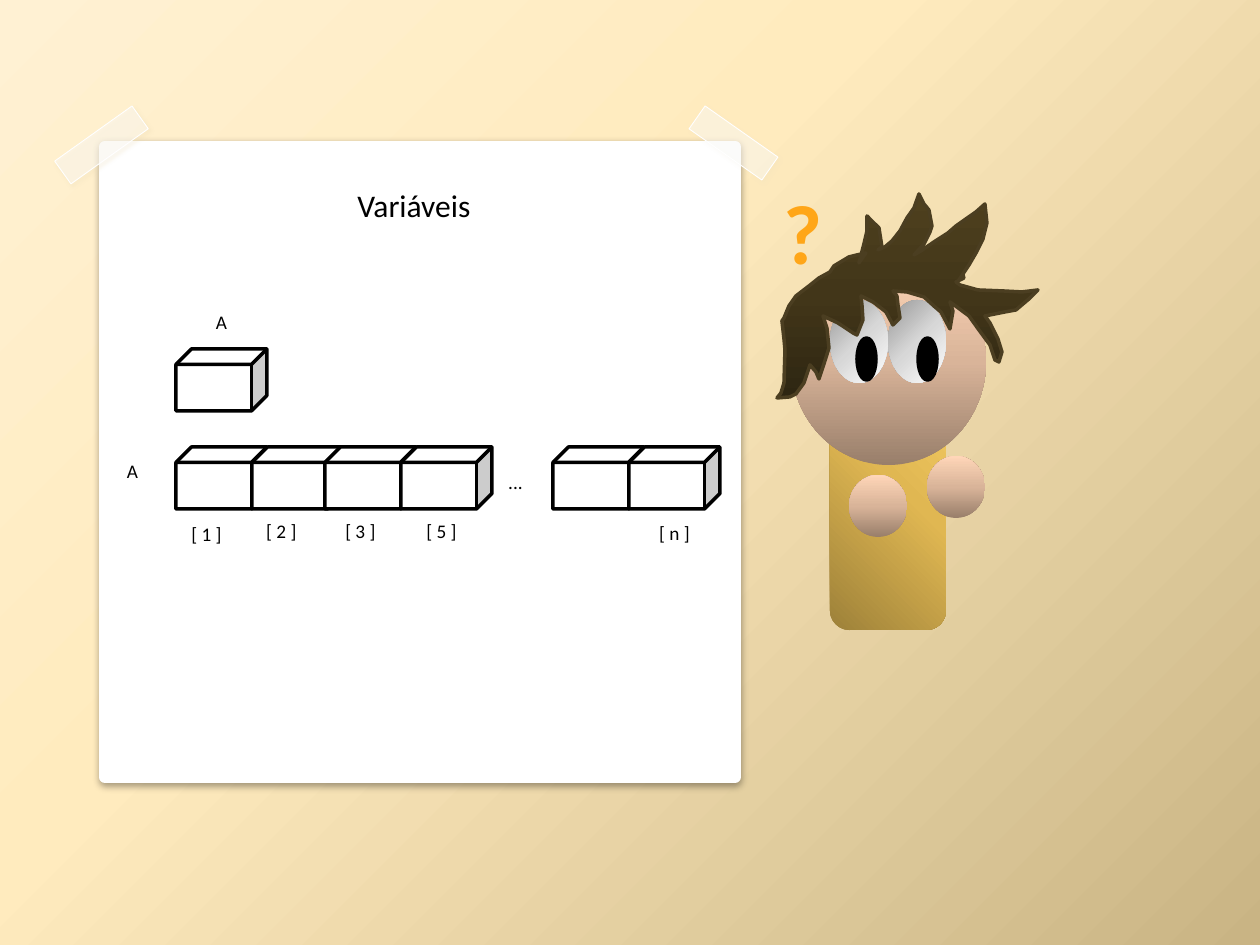
from lxml import etree
from pptx import Presentation
from pptx.dml import color
from pptx.enum import shapes, text
from pptx.oxml import ns
from pptx.util import Pt

PX = 914400 / 126
KIND = shapes.MSO_SHAPE
THEME = {
    "font": "Calibri", "title": 18, "label": 11, "question": 48,
    "white": "FFFFFF", "black": "000000", "side": "CCCCCC",
    "tape": "FBFBFB", "hair_line": "4B3E21",
    # Gradients: stops, then the clockwise angle
    "background": ([(0, "FFF1D3"), (40, "FFEBBE"), (100, "C9B484")], 45),
    "shirt": ([(0, "9D8139"), (50, "E0B752"), (100, "FFD56B")], 315),
    "skin": ([(0, "997F6B"), (50, "D9B499"), (100, "FFD6B8")], 270),
    "eye": ([(0, "979797"), (50, "D7D7D7"), (100, "FFFFFF")], 45),
    "hair": ([(0, "2E2612"), (50, "423619"), (100, "4E401E")], 270),
    "mark": ([(0, "FFD196"), (75, "FFA618"), (100, "C38B00")], 90),
}


def paint(fill, element, name):
    """Fill with a theme colour, or with a theme gradient held in element."""
    value = THEME[name]
    if isinstance(value, str):
        fill.solid()
        fill.fore_color.rgb = color.RGBColor.from_string(value)
        return
    fill.gradient()
    gradient = next(element.iter(ns.qn("a:gradFill")))
    stops = gradient.find(ns.qn("a:gsLst"))
    for stop in list(stops):
        stops.remove(stop)
    for position, rgb in value[0]:
        stop = etree.SubElement(stops, ns.qn("a:gs"), pos=str(position * 1000))
        etree.SubElement(stop, ns.qn("a:srgbClr"), val=rgb)
    line = gradient.find(ns.qn("a:lin"))
    line.set("ang", str(value[1] * 60000))
    line.set("scaled", "0")


def add_shape(parent, kind, box, fill, line=None, width=2):
    """Add a preset shape, or a closed outline when kind is a list of points."""
    if isinstance(kind, list):
        builder = parent.build_freeform(*kind[0], scale=PX)
        builder.add_line_segments(kind[1:], close=True)
        shape = builder.convert_to_shape()
    else:
        shape = parent.add_shape(kind, *[round(n * PX) for n in box])
    shape.shadow.inherit = False
    paint(shape.fill, shape.element, fill)
    if line:
        shape.line.color.rgb = color.RGBColor.from_string(THEME[line])
        shape.line.width = Pt(width)
    else:
        shape.line.fill.background()
    return shape


presentation = Presentation()
presentation.slide_width = round(1260 * PX)
presentation.slide_height = round(945 * PX)
slide = presentation.slides.add_slide(presentation.slide_layouts[6])
paint(slide.background.fill, slide.element, "background")

# Sheet of paper and its two strips of tape, each with a soft shadow
# (kind, box, turn, fill, opacity, line width, shadow: colour, opacity, blur, distance, angle)
sheet_parts = [
    (KIND.RECTANGLE, (105, 147, 630, 630), 0, "white", 100, 7, ("000000", 35, 4.4, 1.5, 90)),
    (KIND.FLOWCHART_PROCESS, (54, 131, 95, 28), 324.5, "tape", 45, 0.5, ("EBDAB2", 40, 2, 2, 55)),
    (KIND.FLOWCHART_PROCESS, (689, 129, 89, 28), 35.1, "tape", 45, 0.5, ("E7DEC9", 20, 2, 2, 55)),
]
for kind, box, turn, fill, opacity, width, (rgb, strength, blur, distance, angle) in sheet_parts:
    shape = add_shape(slide.shapes, kind, box, fill, "white", width)
    shape.rotation = turn
    if opacity < 100:
        fill_color = next(shape.element.iter(ns.qn("a:srgbClr")))
        etree.SubElement(fill_color, ns.qn("a:alpha"), val=str(opacity * 1000))
    effects = next(shape.element.iter(ns.qn("a:effectLst")))
    shadow = etree.SubElement(
        effects, ns.qn("a:outerShdw"), blurRad=str(Pt(blur)), dist=str(Pt(distance)),
        dir=str(angle * 60000), algn="ctr", rotWithShape="0")
    shadow_color = etree.SubElement(shadow, ns.qn("a:srgbClr"), val=rgb)
    etree.SubElement(shadow_color, ns.qn("a:alpha"), val=str(strength * 1000))

# Puzzled figure: body, head, eyes, hair, hands
figure = slide.shapes.add_group_shape().shapes
add_shape(figure, KIND.ROUNDED_RECTANGLE, (830, 320, 116, 310), "shirt")
add_shape(figure, KIND.OVAL, (791, 258, 195, 207), "skin")
for eye_left, pupil_left in ((830, 857), (888, 918)):
    add_shape(figure, KIND.OVAL, (eye_left, 300, 58, 83), "eye")
    add_shape(figure, KIND.OVAL, (pupil_left, 338, 19, 42), "black", "black")
hair = [
    (959, 280), (965, 271), (969, 265), (976, 253), (983, 239), (987, 223), (985, 204),
    (976, 212), (966, 219), (956, 226), (948, 233), (934, 242), (921, 251), (914, 255),
    (924, 244), (930, 232), (932, 226), (929, 210), (924, 204), (919, 194), (914, 208),
    (907, 218), (900, 231), (892, 241), (885, 247), (878, 250), (882, 247), (879, 228),
    (871, 220), (867, 216), (867, 231), (864, 244), (859, 263), (866, 253), (857, 255),
    (849, 257), (834, 266), (830, 272), (819, 278), (809, 286), (796, 296), (789, 306),
    (784, 318), (782, 321), (784, 339), (785, 350), (784, 383), (781, 393), (777, 398),
    (790, 397), (796, 394), (804, 383), (810, 365), (816, 372), (819, 379), (824, 364),
    (829, 348), (827, 328), (823, 316), (838, 323), (853, 333), (857, 335), (863, 320),
    (862, 305), (861, 296), (873, 302), (886, 312), (893, 325), (900, 318), (898, 305),
    (897, 296), (893, 291), (907, 292), (924, 297), (935, 307), (941, 312), (950, 329),
    (953, 311), (950, 302), (961, 310), (969, 316), (979, 330), (990, 345), (995, 360),
    (999, 362), (1002, 352), (998, 339), (990, 323), (985, 316), (1005, 312), (1016, 310),
    (1029, 299), (1038, 290), (1022, 292), (1003, 291), (978, 290), (960, 285), (956, 282),
    (964, 278), (963, 275),
]
add_shape(figure, hair, None, "hair", "hair_line")
for left, top in ((849, 475), (927, 456)):
    add_shape(figure, KIND.OVAL, (left, top, 58, 62), "skin")

# Single variable above, array of variables below
single = slide.shapes.add_group_shape().shapes
add_shape(single, KIND.CUBE, (176, 349, 91, 62), "white", "black")
for left in (176, 252, 325, 401, 553, 629):
    add_shape(slide.shapes, KIND.CUBE, (left, 447, 91, 62), "white", "black")

# Texts: parent, words, box, size, colour
texts = [
    (slide.shapes, "Variáveis", (345, 180, 140, 50), "title", "black"),
    (figure, "?", (771, 174, 52, 115), "question", "mark"),
]
labels = [
    (single, "A", 176, 301), (slide.shapes, "...", 470, 461), (slide.shapes, "A", 87, 450),
    (slide.shapes, "[ 1 ]", 161, 513), (slide.shapes, "[ 2 ]", 236, 510),
    (slide.shapes, "[ 3 ]", 315, 510), (slide.shapes, "[ 5 ]", 396, 510),
    (slide.shapes, "[ n ]", 629, 512),
]
texts += [(parent, words, (left, top, 91, 49), "label", "black")
          for parent, words, left, top in labels]
for parent, words, box, size, fill in texts:
    shape = parent.add_textbox(*[round(n * PX) for n in box])
    shape.text_frame.word_wrap = size != "title"
    paragraph = shape.text_frame.paragraphs[0]
    if size == "label":
        paragraph.alignment = text.PP_ALIGN.CENTER
        paragraph.line_spacing = 1.15
        paragraph.space_after = Pt(10)
    run = paragraph.add_run()
    run.text = words
    run.font.name = THEME["font"]
    run.font.size = Pt(THEME[size])
    run.font.bold = size == "question"
    paint(run.font.fill, shape.element, fill)

presentation.save("out.pptx")
